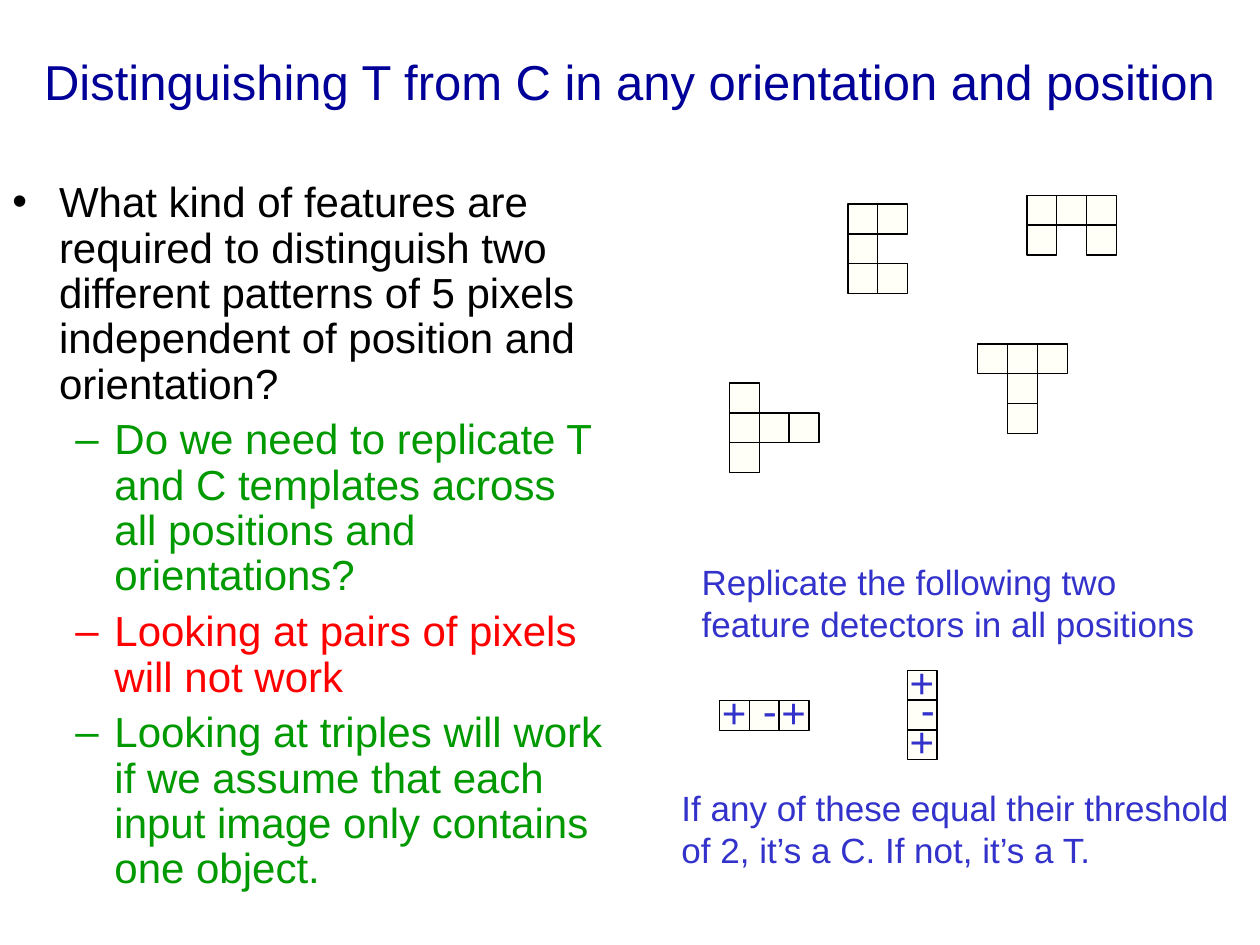
from lxml import etree
from pptx import Presentation
from pptx.dml.color import RGBColor
from pptx.enum.shapes import MSO_SHAPE
from pptx.enum.text import MSO_ANCHOR, MSO_AUTO_SIZE, PP_ALIGN
from pptx.oxml.ns import qn
from pptx.util import Inches, Pt

RECTANGLE = MSO_SHAPE.RECTANGLE
TOP, MIDDLE = MSO_ANCHOR.TOP, MSO_ANCHOR.MIDDLE
LEFT, CENTER = PP_ALIGN.LEFT, PP_ALIGN.CENTER
NO_AUTOFIT = MSO_AUTO_SIZE.NONE

NAVY = RGBColor(0x00, 0x00, 0x99)
BLUE = RGBColor(0x33, 0x33, 0xCC)
GREEN = RGBColor(0x00, 0x99, 0x00)
RED = RGBColor(0xFF, 0x00, 0x00)
BLACK = RGBColor(0x00, 0x00, 0x00)
IVORY = RGBColor(0xFF, 0xFF, 0xF7)

# Content
TITLE = "Distinguishing T from C in any orientation and position"
POINTS = [  # level, colour, text
    (0, BLACK, "What kind of features are required to distinguish two different "
               "patterns of 5 pixels independent of position and orientation?"),
    (1, GREEN, "Do we need to replicate T and C templates across all positions "
               "and orientations?"),
    (1, RED, "Looking at pairs of pixels will not work"),
    (1, GREEN, "Looking at triples will work if we assume that each input image "
               "only contains one object."),
]
BULLETS = [("•", 0.37, -0.37), ("–", 0.81, -0.31)]  # mark, margin, indent by level
CAPTIONS = [  # text, left, top, width, height
    ("Replicate the following two feature detectors in all positions",
     5.47, 4.4, 4.18, 0.77),
    ("If any of these equal their threshold of 2, it’s a C. If not, it’s a T.",
     5.31, 6.19, 4.71, 0.77),
]
# Pixel patterns: left, top, rows; "#" is a plain pixel, a sign is a weighted one
PATTERNS = [
    (6.73, 1.62, ["##", "#", "##"]),
    (8.15, 1.55, ["###", "# #"]),
    (5.79, 3.04, ["#", "###", "#"]),
    (7.76, 2.73, ["###", " # ", " # "]),
    (5.71, 5.56, ["+-+"]),
    (7.2, 5.32, ["+", "-", "+"]),
]
PIXEL = 0.71 / 3
SIGNS = {"+": (-0.08, -0.16, 0.39), "-": (0.01, -0.18, 0.31)}  # offsets, width

prs = Presentation()
prs.slide_width, prs.slide_height = Inches(10), Inches(7.5)
slide = prs.slides.add_slide(prs.slide_layouts[5])


def write(text, box, size=24, color=BLUE, align=LEFT, anchor=TOP, wrap=True, shape=None):
    """Put one paragraph in a new text box, or in the given shape."""
    left, top, width, height = map(Inches, box)
    if shape is None:
        shape = slide.shapes.add_textbox(left, top, width, height)
    else:
        shape.left, shape.top, shape.width, shape.height = left, top, width, height
    frame = shape.text_frame
    frame.word_wrap, frame.auto_size, frame.vertical_anchor = wrap, NO_AUTOFIT, anchor
    add_run(frame.paragraphs[0], text, size, color, align)
    return frame


def add_run(paragraph, text, size, color, align=LEFT):
    paragraph.alignment = align
    run = paragraph.add_run()
    run.text = text
    run.font.name, run.font.size = "Arial", Pt(size)
    run.font.color.rgb = color


def add_bullet(paragraph, level):
    mark, margin, indent = BULLETS[level]
    paragraph.level = level
    paragraph.line_spacing, paragraph.space_before = 0.9, Pt(6)
    properties = paragraph._p.get_or_add_pPr()
    properties.set("marL", str(Inches(margin)))
    properties.set("indent", str(Inches(indent)))
    etree.SubElement(properties, qn("a:buFont"), typeface="Arial")
    etree.SubElement(properties, qn("a:buChar"), char=mark)


def add_pixel(left, top):
    pixel = slide.shapes.add_shape(RECTANGLE, Inches(left), Inches(top),
                                   Inches(PIXEL), Inches(PIXEL))
    pixel.shadow.inherit = False
    pixel.fill.solid()
    pixel.fill.fore_color.rgb = IVORY
    pixel.line.color.rgb = BLACK
    pixel.line.width = Pt(0.75)


# Title
write(TITLE, (-0.05, 0.3, 10.09, 0.69), size=28, color=NAVY, align=CENTER,
      anchor=MIDDLE, shape=slide.shapes.title)

# Bulleted question and answers
first_level, first_color, question = POINTS[0]
points_frame = write(question, (0, 1.39, 4.92, 6.11), color=first_color)
add_bullet(points_frame.paragraphs[0], first_level)
for level, color, point in POINTS[1:]:
    paragraph = points_frame.add_paragraph()
    add_run(paragraph, point, 24, color)
    add_bullet(paragraph, level)

# Patterns and feature detectors, with the signs above all pixels
weights = []
for left, top, rows in PATTERNS:
    for row, marks in enumerate(rows):
        for column, mark in enumerate(marks):
            if mark == " ":
                continue
            x, y = left + column * PIXEL, top + row * PIXEL
            add_pixel(x, y)
            if mark in SIGNS:
                weights.append((mark, x, y))
for sign, x, y in weights:
    dx, dy, width = SIGNS[sign]
    write(sign, (x + dx, y + dy, width, 0.5), wrap=False)

# Captions
for caption, *box in CAPTIONS:
    write(caption, box, size=20)

prs.save("out.pptx")
